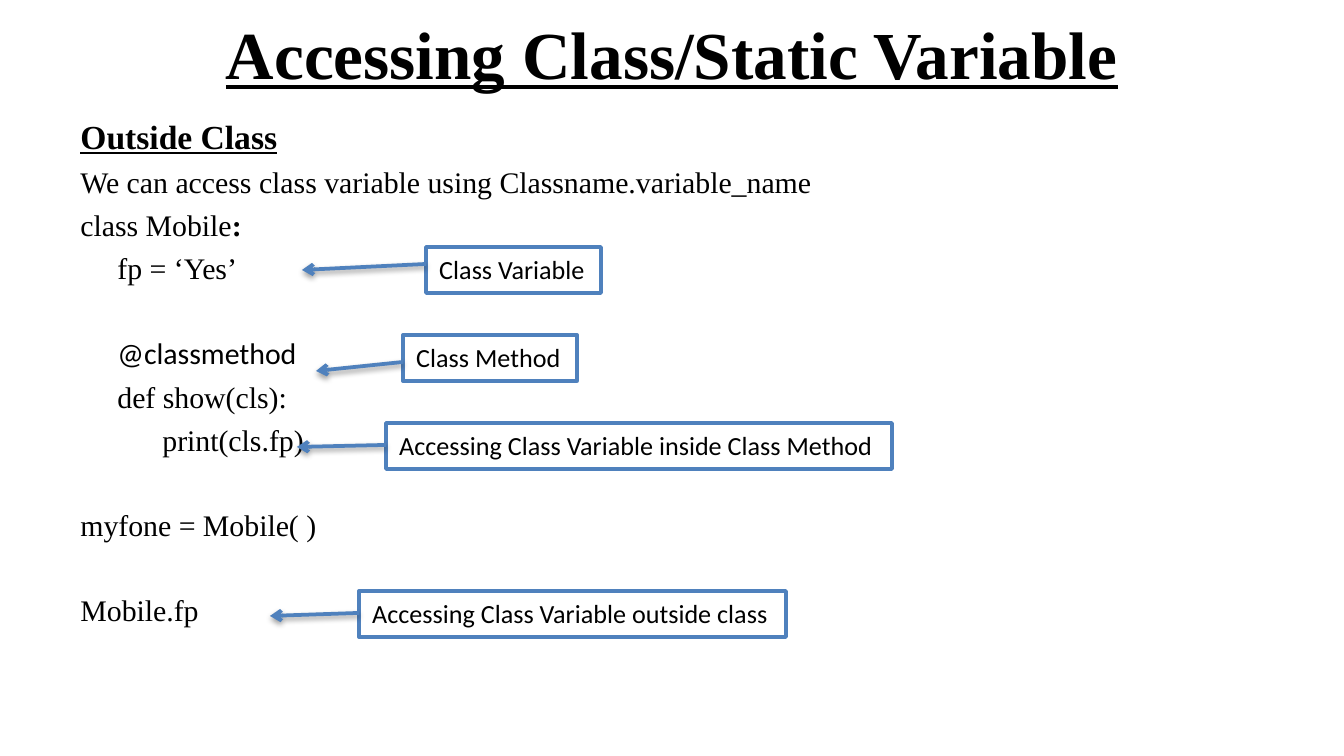
from lxml.etree import SubElement
from pptx import Presentation
from pptx.dml.color import RGBColor
from pptx.enum.shapes import MSO_CONNECTOR, MSO_SHAPE
from pptx.enum.text import MSO_ANCHOR, MSO_AUTO_SIZE, PP_ALIGN
from pptx.oxml.ns import qn
from pptx.util import Pt

BLACK = RGBColor(0x00, 0x00, 0x00)
WHITE = RGBColor(0xFF, 0xFF, 0xFF)
BLUE = RGBColor(0x4F, 0x81, 0xBD)
SERIF = "Times New Roman"
SANS = "Calibri"
EMU_PER_PX = 914400 / 134.4
PAGE_SIZE = (1344, 756)
LINE_SPACE = 4
LINE_PITCH = 22.4
INDENTS = (0, 37, 82)

CODE_LINES = [
    (0, 0, [("Outside Class", SERIF, 18, True, True)]),
    (0, 0, [("We can access class variable using Classname.variable_name", SERIF, 16, False, False)]),
    (0, 0, [("class Mobile", SERIF, 16, False, False), (":", SERIF, 16, True, False)]),
    (1, 0, [("fp = ‘Yes’", SERIF, 16, False, False)]),
    (1, 1, [("@classmethod", SANS, 16, False, False)]),
    (1, 0, [("def show(cls):", SERIF, 16, False, False)]),
    (2, 0, [("print(cls.fp)", SERIF, 16, False, False)]),
    (0, 1, [("myfone = Mobile( )", SERIF, 16, False, False)]),
    (0, 1, [("Mobile.fp", SERIF, 16, False, False)]),
]

CALLOUTS = [
    ("Class Variable", (426, 247, 175, 46), 17, (-124, 23)),
    ("Class Method", (403, 335, 174, 46), 27, (-87, 36)),
    ("Accessing Class Variable inside Class Method", (386, 423, 506, 46), 22, (-89, 24)),
    ("Accessing Class Variable outside class", (359, 591, 427, 46), 22, (-89, 25)),
]


def px(length):
    return round(length * EMU_PER_PX)


def place(shape, box):
    shape.left, shape.top, shape.width, shape.height = map(px, box)


def add_span(para, text, font, size, bold=False, underline=False):
    span = para.add_run()
    span.text = text
    span.font.name = font
    span.font.size = Pt(size)
    span.font.bold = bold
    span.font.underline = underline
    span.font.color.rgb = BLACK


def add_title(page, box):
    title = page.shapes.title
    place(title, box)
    frame = title.text_frame
    frame.auto_size = MSO_AUTO_SIZE.NONE
    frame.vertical_anchor = MSO_ANCHOR.MIDDLE
    para = frame.paragraphs[0]
    para.alignment = PP_ALIGN.CENTER
    add_span(para, "Accessing Class/Static Variable", SERIF, 36, True, True)


def add_code(page, box):
    body = page.placeholders[1]
    place(body, box)
    frame = body.text_frame
    frame.auto_size = MSO_AUTO_SIZE.NONE
    for index, (level, gap, spans) in enumerate(CODE_LINES):
        para = frame.add_paragraph() if index else frame.paragraphs[0]
        para.space_before = Pt(LINE_SPACE + gap * LINE_PITCH)
        properties = para._p.get_or_add_pPr()
        properties.set("marL", str(px(INDENTS[level])))
        properties.set("indent", "0")
        SubElement(properties, qn("a:buNone"))
        for span in spans:
            add_span(para, *span)


def add_arrow(page, start, end):
    arrow = page.shapes.add_connector(MSO_CONNECTOR.STRAIGHT, *map(px, start + end))
    arrow.line.color.rgb = BLUE
    arrow.line.width = Pt(2)
    SubElement(arrow.line._get_or_add_ln(), qn("a:tailEnd"), type="arrow")
    effects = SubElement(arrow._element.spPr, qn("a:effectLst"))
    shadow = SubElement(effects, qn("a:outerShdw"), blurRad=str(Pt(3.1)),
                        dist=str(Pt(1.6)), dir="5400000", rotWithShape="0")
    color = SubElement(shadow, qn("a:srgbClr"), val=str(BLACK))
    SubElement(color, qn("a:alpha"), val="38000")


def add_callout(page, text, box, arrow_top, tip):
    label = page.shapes.add_shape(MSO_SHAPE.RECTANGLE, *map(px, box))
    label.shadow.inherit = False
    label.fill.solid()
    label.fill.fore_color.rgb = WHITE
    label.line.color.rgb = BLUE
    label.line.width = Pt(2)
    frame = label.text_frame
    frame.word_wrap = True
    frame.auto_size = MSO_AUTO_SIZE.SHAPE_TO_FIT_TEXT
    frame.vertical_anchor = MSO_ANCHOR.TOP
    para = frame.paragraphs[0]
    para.alignment = PP_ALIGN.LEFT
    add_span(para, text, SANS, 14)
    left, top = box[:2]
    add_arrow(page, (left, top + arrow_top), (left + tip[0], top + tip[1]))


def main():
    deck = Presentation()
    deck.slide_width, deck.slide_height = map(px, PAGE_SIZE)
    page = deck.slides.add_slide(deck.slide_layouts[1])
    add_title(page, (67, -3, 1210, 112))
    add_code(page, (67, 109, 1210, 616))
    for callout in CALLOUTS:
        add_callout(page, *callout)
    deck.save("out.pptx")


if __name__ == "__main__":
    main()
